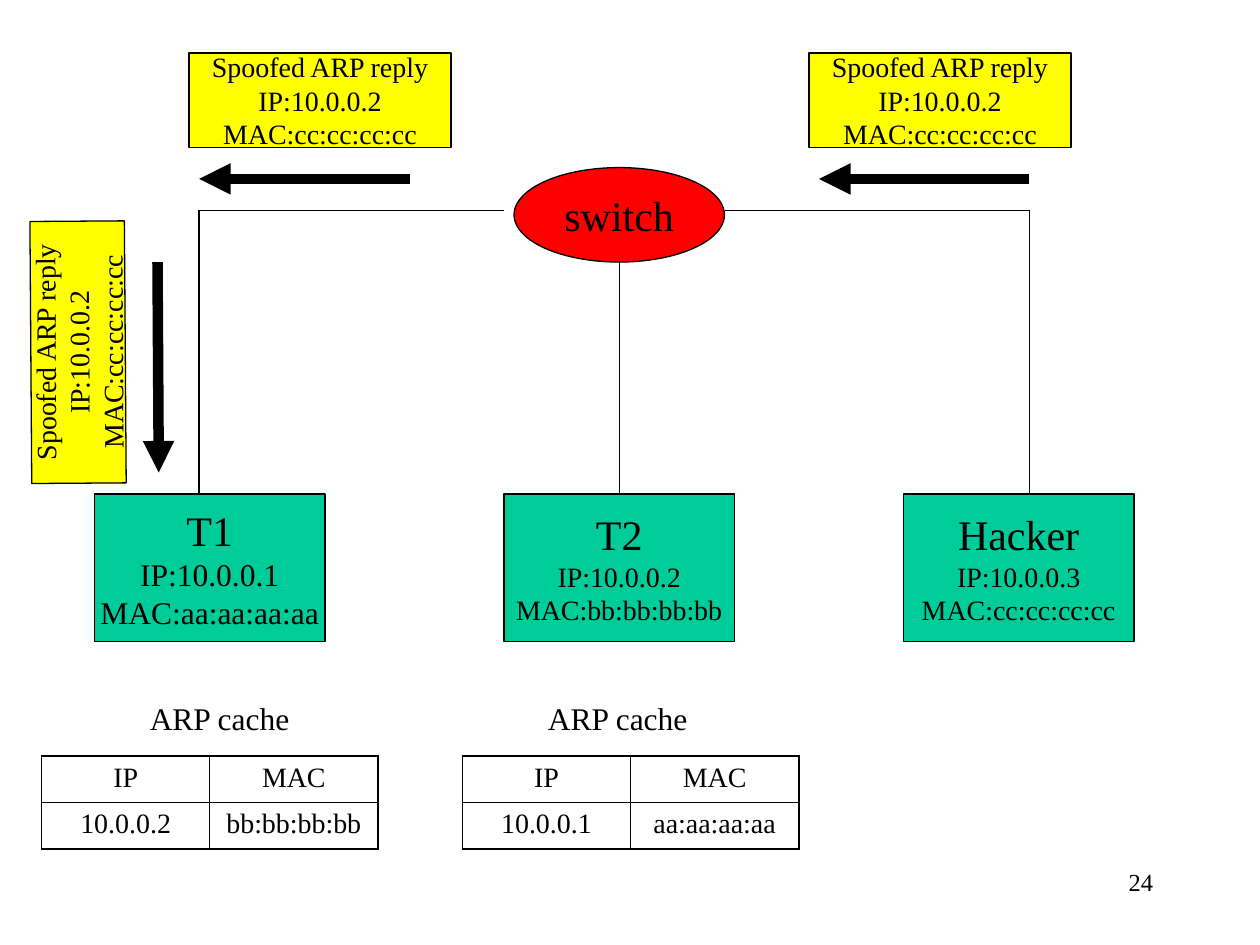
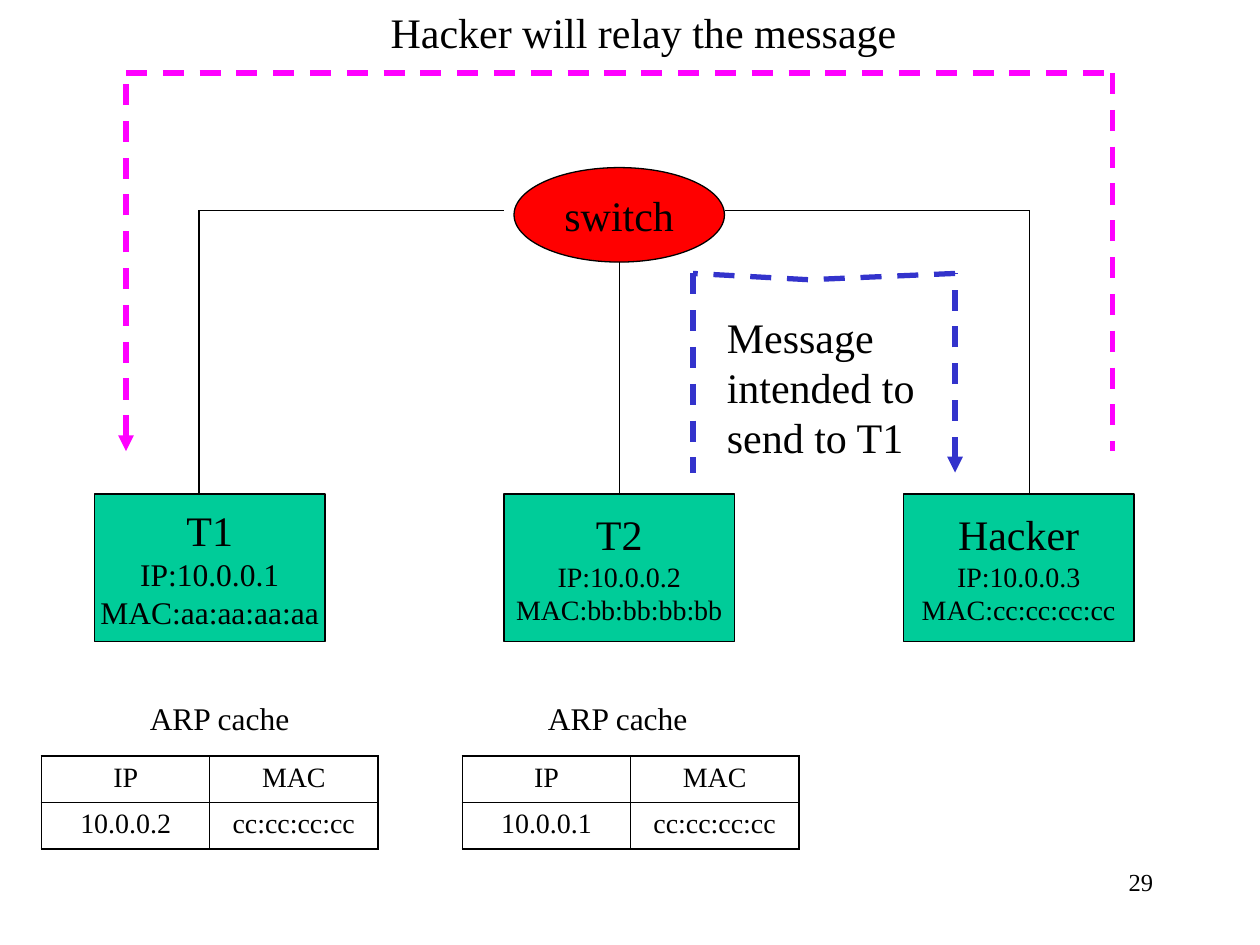
from pptx import Presentation
from pptx import util as u
from pptx.dml.color import RGBColor
from pptx.enum import dml, shapes, text
from pptx.oxml.ns import qn
from lxml import etree

# Shared look
FONT = "Times New Roman"
BLACK, GREEN, RED, YELLOW = "000000", "00CC99", "FF0000", "FFFF00"
PINK, BLUE = "FF00FF", "3333CC"
LEFT, MID, RIGHT = text.PP_ALIGN.LEFT, text.PP_ALIGN.CENTER, text.PP_ALIGN.RIGHT
RECT, OVAL = shapes.MSO_SHAPE.RECTANGLE, shapes.MSO_SHAPE.OVAL

# Network: left edge, lines, size of the address lines
HOST_TOP, HOST_W, HOST_H = 3.92, 1.83, 1.17
HOSTS = [
    (0.75, ["T1", "IP:10.0.0.1", "MAC:aa:aa:aa:aa"], 18),
    (4, ["T2", "IP:10.0.0.2", "MAC:bb:bb:bb:bb"], 16),
    (7.17, ["Hacker", "IP:10.0.0.3", "MAC:cc:cc:cc:cc"], 16),
]
WIRE_Y = 1.67
WIRES = [
    (1.58, HOST_TOP, 1.58, WIRE_Y),
    (1.58, WIRE_Y, 4, WIRE_Y),
    (5.75, WIRE_Y, 8.17, WIRE_Y),
    (8.17, HOST_TOP, 8.17, WIRE_Y),
]

# ARP caches: table left, label left, IP
CACHES = [(0.33, 1.09, "10.0.0.2"), (3.67, 4.25, "10.0.0.1")]
BEFORE = ["bb:bb:bb:bb", "aa:aa:aa:aa"]
AFTER = ["cc:cc:cc:cc", "cc:cc:cc:cc"]

# Spoofed replies: box left, top, turn, then arrow ends
SPOOF = ["Spoofed ARP reply", "IP:10.0.0.2", "MAC:cc:cc:cc:cc"]
REPLIES = [
    (6.42, 0.42, 0, (8.17, 1.42, 6.5, 1.42)),
    (-0.42, 2.42, 269.6, (1.25, 2.08, 1.26, 3.75)),
    (1.5, 0.42, 0, (3.25, 1.42, 1.58, 1.42)),
]

# Relayed message
TITLE = "Hacker will relay the message"
NOTE = ["Message", "intended to", "send to T1"]
DASHES = [
    (1, 3.58, 1, 0.58, PINK, "headEnd"),
    (1, 0.58, 8.83, 0.58, PINK, None),
    (8.83, 0.58, 8.83, 3.58, PINK, None),
    (7.58, 3.75, 7.58, 2.17, BLUE, "headEnd"),
    (5.5, 2.17, 5.5, 3.75, BLUE, None),
]
BEND = [(7.58, 2.17), (6.42, 2.22), (5.5, 2.17)]


def rgb(code):
    return RGBColor.from_string(code)


def inch(*vals):
    return [u.Inches(v) for v in vals]


def write(frame, lines, sizes, align=LEFT, wrap=False):
    """Fill a text frame, one size per line."""
    frame.text = "\n".join(lines)
    frame.word_wrap = wrap
    for para, size in zip(frame.paragraphs, sizes):
        para.alignment = align
        for run in para.runs:
            run.font.name = FONT
            run.font.size = u.Pt(size)
            run.font.color.rgb = rgb(BLACK)


def stroke(line, color=BLACK, width=0.75, dash=False):
    line.color.rgb = rgb(color)
    line.width = u.Pt(width)
    if dash:
        line.dash_style = dml.MSO_LINE.DASH


def block(slide, kind, box, fill, lines, sizes):
    shape = slide.shapes.add_shape(kind, *inch(*box))
    shape.shadow.inherit = False
    shape.fill.solid()
    shape.fill.fore_color.rgb = rgb(fill)
    stroke(shape.line)
    write(shape.text_frame, lines, sizes, MID)
    shape.text_frame.vertical_anchor = text.MSO_ANCHOR.MIDDLE
    return shape


def label(slide, box, lines, size, align=LEFT, wrap=False):
    frame = slide.shapes.add_textbox(*inch(*box)).text_frame
    write(frame, lines, [size] * len(lines), align, wrap)


def link(slide, ends, color=BLACK, width=0.75, dash=False, arrow=None):
    line = slide.shapes.add_connector(shapes.MSO_CONNECTOR.STRAIGHT, *inch(*ends))
    stroke(line.line, color, width, dash)
    props = line._element.spPr
    if arrow:
        tip = etree.SubElement(props.find(qn("a:ln")), qn("a:" + arrow))
        tip.set("type", "triangle")
    etree.SubElement(props, qn("a:effectLst"))
    return line


def edge(cell, side, width):
    line = etree.SubElement(cell._tc.get_or_add_tcPr(), qn("a:ln" + side))
    line.set("w", str(u.Pt(width)))
    fill = etree.SubElement(line, qn("a:solidFill"))
    etree.SubElement(fill, qn("a:srgbClr")).set("val", BLACK)


def cache(slide, left, tag, rows):
    """ARP cache label and its table, outer borders heavier."""
    label(slide, (tag, 5.5, 1.32, 0.4), ["ARP cache"], 18)
    table = slide.shapes.add_table(2, 2, *inch(left, 6, 2.67, 0.74)).table
    table.first_row = table.horz_banding = False
    for r, row in enumerate(rows):
        for c, word in enumerate(row):
            cell = table.cell(r, c)
            write(cell.text_frame, [word], [16], MID, True)
            outer = {"L": c == 0, "R": c == 1, "T": r == 0, "B": r == 1}
            for side, thick in outer.items():
                edge(cell, side, 1.08 if thick else 0.45)
            cell.fill.background()


def network(slide, macs, page):
    """Everything the slides share."""
    nodes = [block(slide, RECT, (x, HOST_TOP, HOST_W, HOST_H), GREEN, lines, [24, size, size])
             for x, lines, size in HOSTS]
    block(slide, OVAL, (4.08, 1.33, 1.67, 0.75), RED, ["switch"], [24])
    stem = HOSTS[1][0] + HOST_W / 2
    link(slide, (stem, 2.08, stem, HOST_TOP)).end_connect(nodes[1], 0)
    for ends in WIRES:
        link(slide, ends)
    for (left, tag, ip), mac in zip(CACHES, macs):
        cache(slide, left, tag, [("IP", "MAC"), (ip, mac)])
    label(slide, (7.17, 6.83, 2.08, 0.5), [page], 14, RIGHT, True)


def spoof(deck):
    slide = deck.slides.add_slide(deck.slide_layouts[6])
    network(slide, BEFORE, "24")
    for x, y, turn, ends in REPLIES:
        box = block(slide, RECT, (x, y, 2.08, 0.75), YELLOW, SPOOF, [16] * 3)
        box.rotation = turn
        link(slide, ends, width=6, arrow="tailEnd")


def relay(deck):
    slide = deck.slides.add_slide(deck.slide_layouts[5])
    # Title, wide enough for one line
    title = slide.shapes.title
    title.left, title.top, title.width, title.height = inch(3, 0, 4.6, 0.5)
    write(title.text_frame, [TITLE], [24], wrap=True)
    title.text_frame.vertical_anchor = text.MSO_ANCHOR.TOP
    title.text_frame.auto_size = text.MSO_AUTO_SIZE.NONE
    network(slide, AFTER, "29")
    for *ends, color, arrow in DASHES:
        link(slide, ends, color, 3, True, arrow)
    # Bent path below the switch
    first, *rest = [inch(*point) for point in BEND]
    path = slide.shapes.build_freeform(*first)
    path.add_line_segments(rest, close=False)
    bend = path.convert_to_shape()
    bend.shadow.inherit = False
    bend.fill.background()
    stroke(bend.line, BLUE, 3, True)
    label(slide, (5.67, 2.42, 1.69, 1.3), NOTE, 24)


def main():
    deck = Presentation()
    deck.slide_width, deck.slide_height = inch(10, 7.5)
    spoof(deck)
    relay(deck)
    deck.save("out.pptx")


if __name__ == "__main__":
    main()
